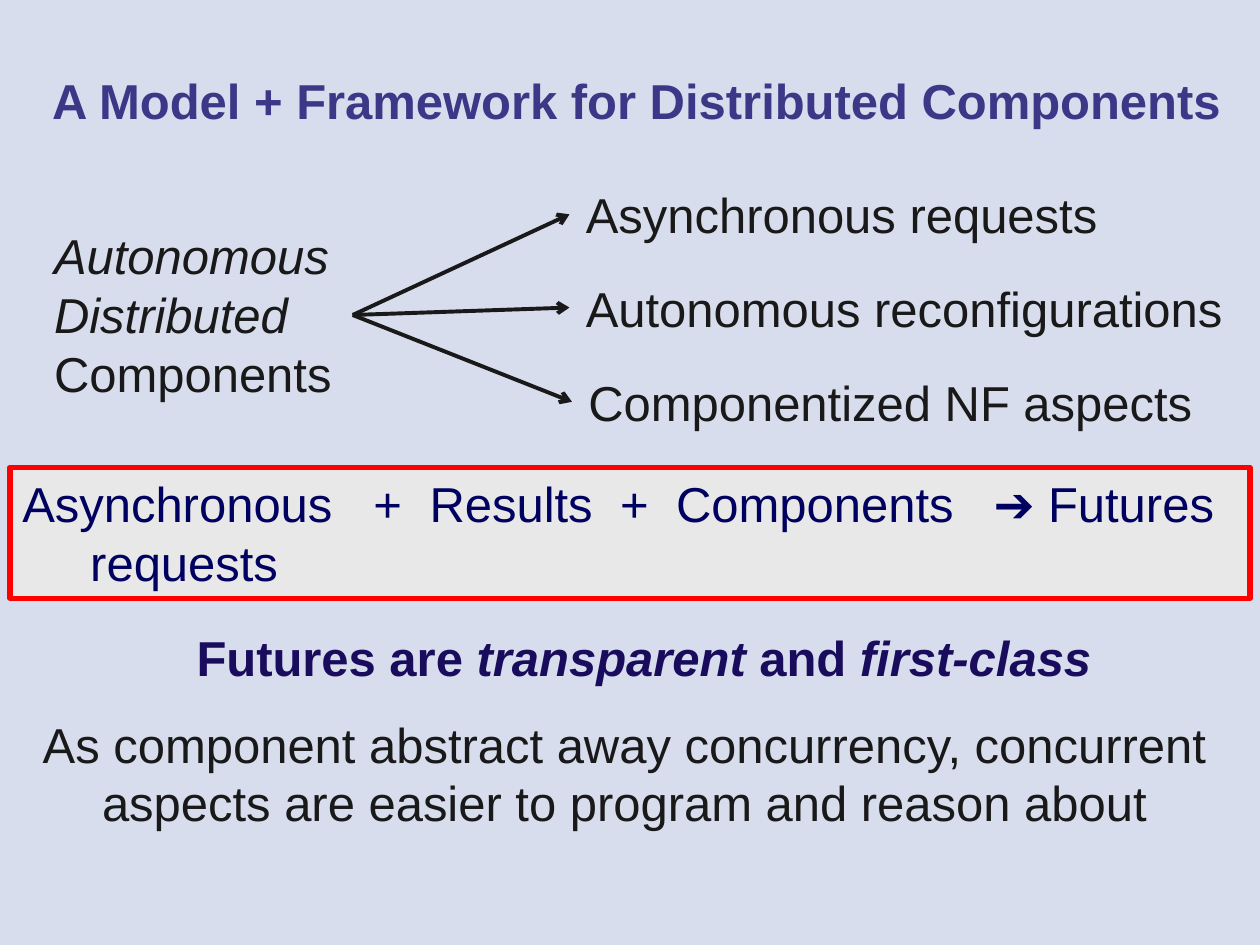
import lxml.etree
import pptx
import pptx.dml.color
import pptx.enum.shapes
import pptx.enum.text
import pptx.oxml.ns
import pptx.util

Cm, Pt = pptx.util.Cm, pptx.util.Pt
Align, Anchor = pptx.enum.text.PP_ALIGN, pptx.enum.text.MSO_ANCHOR
Shape, Link = pptx.enum.shapes.MSO_SHAPE, pptx.enum.shapes.MSO_CONNECTOR
HUES = {"back": "D8DDED", "title": "3B3887", "panel": "E8E8E8", "edge": "FF0000",
        "navy": "000060", "ink": "191919", "deep": "1A0C5D"}


def rgb(name):
    return pptx.dml.color.RGBColor.from_string(HUES[name])


def node(parent, tag, **attrs):
    return lxml.etree.SubElement(parent, pptx.oxml.ns.qn(tag), **attrs)


class Deck:
    """Draws styled elements on the current slide."""

    font, size = "Arial", Pt(28)

    def __init__(self, show):
        self.slide = show.slides.add_slide(show.slide_layouts[6])
        fill = self.slide.background.fill
        fill.solid()
        fill.fore_color.rgb = rgb("back")

    def style(self, para, hue, align=Align.LEFT, bold=False):
        para.alignment = align
        font = para.font
        font.name, font.size, font.bold = self.font, self.size, bold
        font.color.rgb = rgb(hue)

    def text(self, box, paras, hue="ink", align=Align.LEFT, bold=False,
             wrap=False, anchor=Anchor.TOP):
        frame = self.slide.shapes.add_textbox(*map(Cm, box)).text_frame
        frame.word_wrap, frame.vertical_anchor = wrap, anchor
        for i, runs in enumerate(paras):
            para = frame.add_paragraph() if i else frame.paragraphs[0]
            self.style(para, hue, align, bold)
            for words, slant in runs:
                if words == "\n":
                    para.add_line_break()
                    continue
                run = para.add_run()
                run.text, run.font.italic = words, slant

    def panel(self, box, lines, stops):
        shape = self.slide.shapes.add_shape(Shape.RECTANGLE, *map(Cm, box))
        shape.shadow.inherit = False
        shape.fill.solid()
        shape.fill.fore_color.rgb = rgb("panel")
        shape.line.color.rgb, shape.line.width = rgb("edge"), Pt(3)
        frame = shape.text_frame
        frame.word_wrap, frame.vertical_anchor = True, Anchor.TOP
        para = frame.paragraphs[0]
        for i, line in enumerate(lines):
            if i:
                para.add_line_break()
            para.add_run().text = line
        self.style(para, "navy")
        props = para._p.get_or_add_pPr()
        tabs = node(props, "a:tabLst")
        props.insert(0, tabs)
        for stop in stops:
            node(tabs, "a:tab", pos=str(Cm(stop)), algn="l")

    def arrow(self, start, end):
        link = self.slide.shapes.add_connector(Link.STRAIGHT, *map(Cm, start + end))
        link.line.color.rgb, link.line.width = rgb("ink"), Pt(2.25)
        props = link._element.spPr
        node(props.find(pptx.oxml.ns.qn("a:ln")), "a:tailEnd", type="arrow")
        node(props, "a:effectLst")


def main():
    show = pptx.Presentation()
    show.slide_width, show.slide_height = Cm(25.4), Cm(19.05)
    deck = Deck(show)
    deck.text((0.69, 0.84, 24.28, 2.34),
              [[("A Model + Framework for Distributed Components", False)]],
              "title", Align.CENTER, bold=True, wrap=True, anchor=Anchor.MIDDLE)
    deck.panel((0.2, 9.42, 25, 2.64),
               ["Asynchronous\t+\tResults\t+\tComponents\t➔ Futures", "\trequests"],
               (1.37, 7.08, 8.21, 12.05, 13.18, 19.58))
    deck.text((0.84, 4.42, 6.2, 3.81),
              [[("Autonomous", True)],
               [("Distributed", True), ("\n", False), ("Components", False)]])
    traits = (("Asynchronous requests", 11.56, 11, 4.32),
              ("Autonomous reconfigurations", 11.56, 13.5, 6.2),
              ("Componentized NF aspects", 11.61, 12.9, 8.1))
    for i, (words, left, width, tip) in enumerate(traits):
        deck.text((left, 3.6 + 1.89 * i, width, 1.45), [[(words, False)]])
        deck.arrow((7.11, 6.35), (left - 0.08, tip))
    deck.text((0.2, 14.27, 24.77, 2.64),
              [[("As component abstract away concurrency, concurrent aspects "
                 "are easier to program and reason about", False)]],
              align=Align.CENTER, wrap=True)
    deck.text((3.71, 12.52, 18.54, 1.45),
              [[("Futures are ", False), ("transparent", True),
                (" and ", False), ("first-class", True)]],
              "deep", Align.CENTER, bold=True)
    show.save("out.pptx")


if __name__ == "__main__":
    main()
